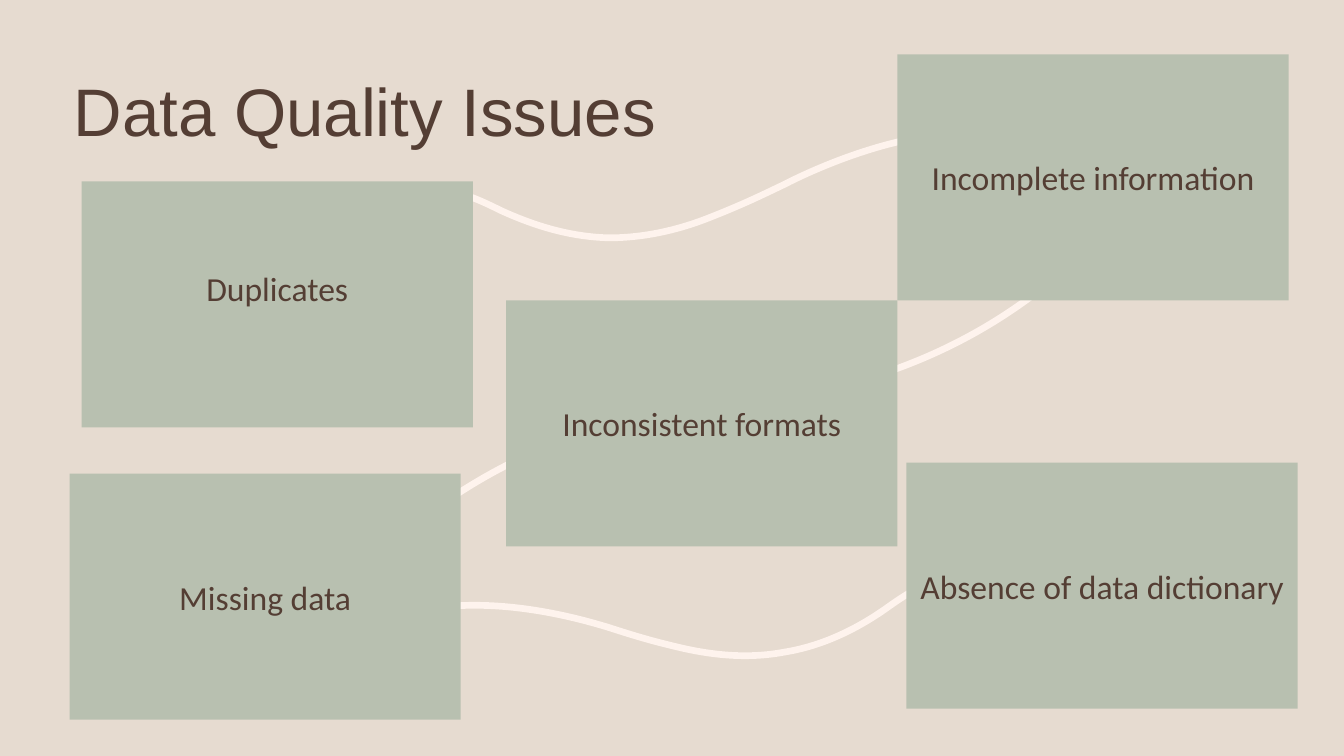
from lxml import etree
from pptx import Presentation
from pptx import util as u
from pptx.dml import color
from pptx.enum import shapes, text
from pptx.oxml import ns

COLORS = {"background": "E6DBD0", "card": "B8C0B0", "curve": "FEF3ED", "text": "543E34"}


def rgb(name):
    return color.RGBColor.from_string(COLORS[name])


def write_text(shape, wording, size, font, align, spacing=1.0, bottom=0.05):
    frame = shape.text_frame
    frame.word_wrap = True
    frame.auto_size = text.MSO_AUTO_SIZE.NONE
    frame.vertical_anchor = text.MSO_ANCHOR.MIDDLE
    frame.margin_bottom = u.Inches(bottom)
    paragraph = frame.paragraphs[0]
    paragraph.alignment = align
    paragraph.line_spacing = spacing
    run = paragraph.add_run()
    run.text = wording
    run.font.size = u.Pt(size)
    run.font.name = font
    run.font.color.rgb = rgb("text")


presentation = Presentation()
presentation.slide_width, presentation.slide_height = u.Inches(13.33), u.Inches(7.5)
slide = presentation.slides.add_slide(presentation.slide_layouts[5])
slide.background.fill.solid()
slide.background.fill.fore_color.rgb = rgb("background")

# Title
title = slide.shapes.title
title.left, title.top = u.Inches(0.63), u.Inches(0.77)
title.width, title.height = u.Inches(10), u.Inches(0.74)
write_text(title, "Data Quality Issues", 48, "Arial", text.PP_ALIGN.LEFT, spacing=0.9)

# Curves behind the cards: a start point, then three points per Bezier segment
curves = [
    [(8.33, 3.83), (9.13, 3.63), (9.85, 3.27), (10.47, 2.75)],
    [(5.84, 4.28), (5.09, 4.52), (4.45, 4.9), (3.89, 5.39)],
    [(3.07, 2.23), (3.5, 1.87), (3.98, 1.77), (4.49, 1.9),
     (4.66, 1.94), (4.81, 2.01), (4.97, 2.09), (5.3, 2.24), (5.65, 2.35), (6.04, 2.36),
     (6.37, 2.36), (6.7, 2.29), (7.01, 2.17), (7.37, 2.03), (7.57, 1.93), (7.78, 1.83),
     (8.01, 1.71), (9.4, 1.03), (10.27, 1.46)],
    [(9.2, 5.79), (9.04, 5.86), (8.91, 5.95), (8.77, 6.05),
     (8.48, 6.25), (8.15, 6.41), (7.78, 6.47), (7.46, 6.53), (7.14, 6.51), (6.81, 6.44),
     (6.45, 6.36), (6.24, 6.29), (6.02, 6.22), (5.78, 6.15), (4.34, 5.7), (3.47, 6.36)],
]
for points in curves:
    start, *rest = [(u.Inches(x), u.Inches(y)) for x, y in points]
    builder = slide.shapes.build_freeform(*start)
    builder.add_line_segments(rest, close=False)
    curve = builder.convert_to_shape()
    curve.shadow.inherit = False
    curve.fill.background()
    curve.line.color.rgb = rgb("curve")
    curve.line.width = u.Pt(4.75)
    # Merge every three straight segments into one Bezier segment
    segments = curve._element.xpath(".//a:lnTo")
    outline = segments[0].getparent()
    for first in range(0, len(segments), 3):
        bezier = etree.SubElement(outline, ns.qn("a:cubicBezTo"))
        for segment in segments[first:first + 3]:
            bezier.append(segment[0])
            outline.remove(segment)

# Issue cards: wording, left, top, bottom inset
cards = [
    ("Duplicates", 0.81, 1.8, 0.38),
    ("Incomplete information", 8.9, 0.54, 0.05),
    ("Inconsistent formats", 5.02, 2.98, 0.05),
    ("Missing data", 0.69, 4.7, 0.05),
    ("Absence of data dictionary", 8.99, 4.59, 0.05),
]
for wording, left, top, bottom in cards:
    card = slide.shapes.add_shape(shapes.MSO_SHAPE.RECTANGLE, u.Inches(left), u.Inches(top),
                                  u.Inches(3.88), u.Inches(2.44))
    card.shadow.inherit = False
    card.fill.solid()
    card.fill.fore_color.rgb = rgb("card")
    card.line.fill.background()
    write_text(card, wording, 24, "Calibri", text.PP_ALIGN.CENTER, bottom=bottom)

presentation.save("out.pptx")
